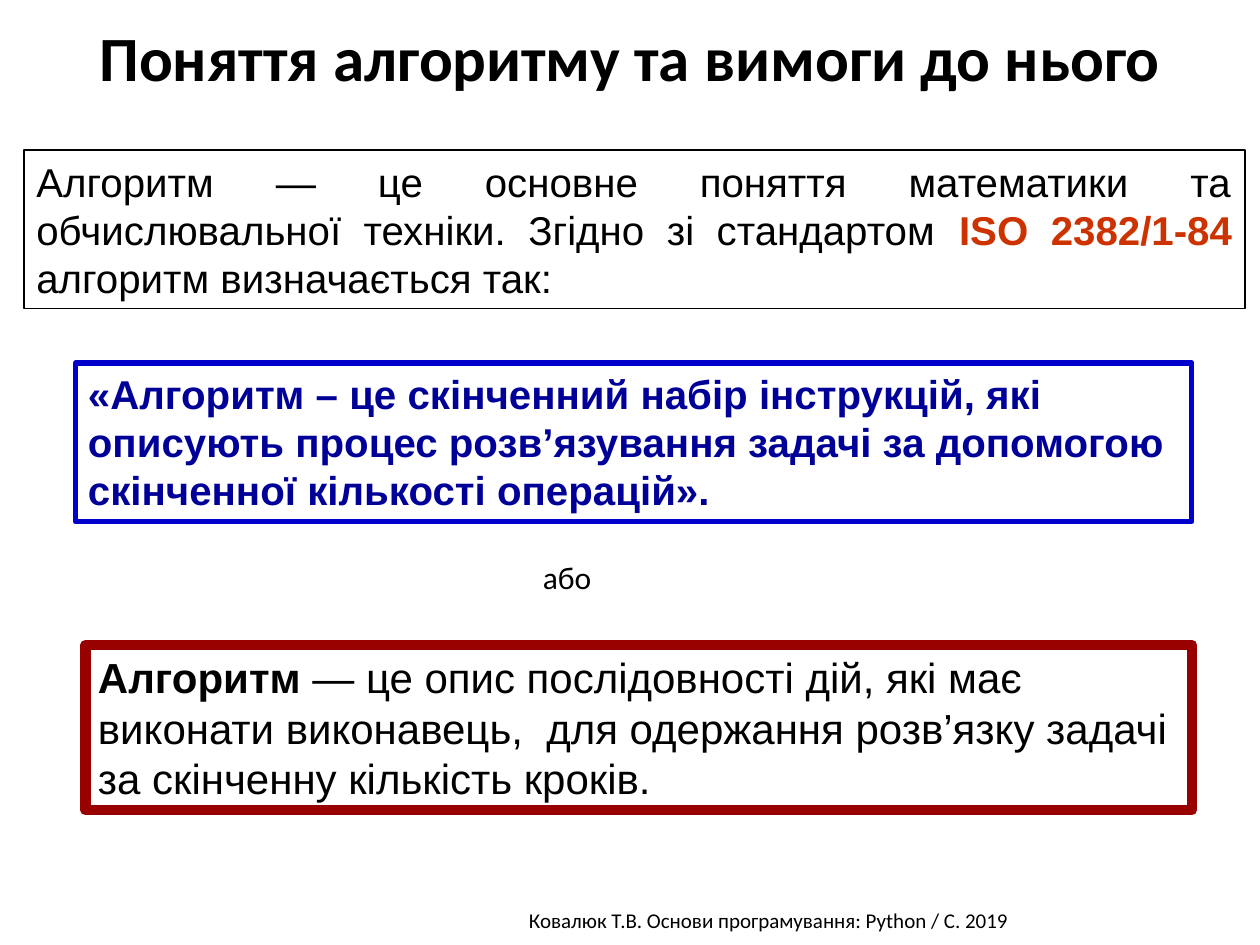
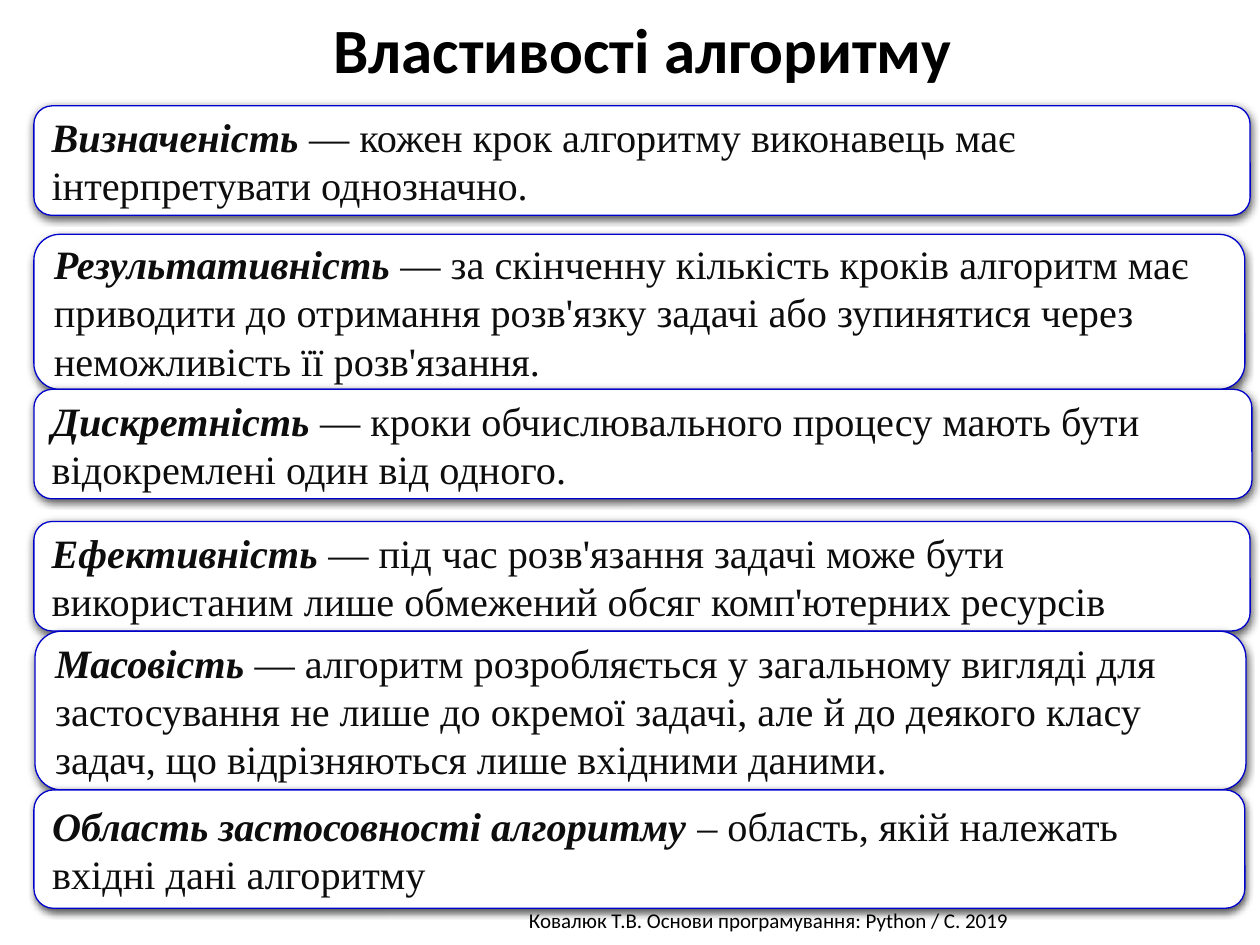
from lxml import etree
from pptx import Presentation
from pptx.dml.color import RGBColor
from pptx.enum.shapes import MSO_SHAPE
from pptx.enum.text import MSO_ANCHOR, MSO_AUTO_SIZE, PP_ALIGN
from pptx.oxml.ns import qn
from pptx.util import Pt

RECTANGLE = MSO_SHAPE.RECTANGLE
ROUNDED = MSO_SHAPE.ROUNDED_RECTANGLE
TOP, MIDDLE = MSO_ANCHOR.TOP, MSO_ANCHOR.MIDDLE
LEFT, CENTER, JUSTIFY = PP_ALIGN.LEFT, PP_ALIGN.CENTER, PP_ALIGN.JUSTIFY
NO_AUTOFIT = MSO_AUTO_SIZE.NONE
TITLE_ONLY = 5

COLORS = {
    "white": "FFFFFF",
    "black": "000000",
    "card text": "0D0D0D",
    "standard": "CC3300",
    "quote": "000099",
    "blue line": "0000CC",
    "red line": "990000",
}
FOOTER = "Ковалюк Т.В. Основи програмування: Python / C. 2019 "
BOLD = {"bold": True}
TERM = {"bold": True, "italic": True}

PROPERTIES = [
    (19.4, 60.5, 695, 62.6, "Визначеність",
     " — кожен крок алгоритму виконавець має інтерпретувати однозначно."),
    (19.4, 133.9, 692, 88.6, "Результативність",
     " — за скінченну кількість кроків алгоритм має приводити до отримання "
     "розв'язку задачі або зупинятися через неможливість її розв'язання."),
    (19.4, 222.5, 696, 62.6, "Дискретність",
     " — кроки обчислювального процесу мають бути відокремлені один від одного."),
    (19.4, 298, 695, 62.6, "Ефективність",
     " — під час розв'язання задачі може бути використаним лише обмежений обсяг "
     "комп'ютерних ресурсів"),
    (20, 360.7, 692, 90.7, "Масовість",
     " — алгоритм розробляється у загальному вигляді для застосування не лише до "
     "окремої задачі, але й до деякого класу задач, що відрізняються лише вхідними даними."),
    (19.4, 451.4, 692, 67.7, "Область застосовності алгоритму ",
     "– область, якій належать вхідні дані алгоритму"),
]


def color(name):
    return RGBColor.from_string(COLORS[name])


def write_text(shape, runs, font="Arial", size=23, text_color="black", align=LEFT,
               anchor=MIDDLE, wrap=True, line_spacing=None, space_before=None):
    frame = shape.text_frame
    frame.auto_size = NO_AUTOFIT
    frame.word_wrap = wrap
    frame.vertical_anchor = anchor
    paragraph = frame.paragraphs[0]
    paragraph.alignment = align
    paragraph.line_spacing = line_spacing
    paragraph.space_before = space_before
    for text, style in runs:
        run = paragraph.add_run()
        run.text = text
        run.font.name = font
        run.font.size = Pt(size)
        run.font.bold = style.get("bold", False)
        run.font.italic = style.get("italic", False)
        run.font.color.rgb = color(style.get("color", text_color))


def place(left, top, width, height):
    return Pt(left), Pt(top), Pt(width), Pt(height)


def add_label(slide, box, text, **text_format):
    label = slide.shapes.add_textbox(*place(*box))
    write_text(label, [(text, {})], font="Calibri", anchor=TOP, **text_format)


def add_titled_slide(presentation, title_text, title_box):
    slide = presentation.slides.add_slide(presentation.slide_layouts[TITLE_ONLY])
    title = slide.shapes.title
    title.left, title.top, title.width, title.height = place(*title_box)
    write_text(title, [(title_text, BOLD)], font="Calibri", size=36,
               align=CENTER, line_spacing=0.9)
    add_label(slide, (161.3, 514.8, 558.7, 21.6), FOOTER, size=12, align=CENTER)
    return slide


def add_box(slide, box, runs, line, line_width, kind=RECTANGLE, **text_format):
    shape = slide.shapes.add_shape(kind, *place(*box))
    shape.shadow.inherit = False
    shape.fill.background()
    shape.line.color.rgb = color(line)
    shape.line.width = Pt(line_width)
    write_text(shape, runs, **text_format)
    return shape


def add_shadow(shape):
    effects = shape._element.spPr.find(qn("a:effectLst"))
    shadow = etree.SubElement(effects, qn("a:outerShdw"), blurRad=str(Pt(4.5)),
                              dist=str(Pt(1.5)), dir="5400000", rotWithShape="0")
    shade = etree.SubElement(shadow, qn("a:srgbClr"), val=COLORS["black"])
    etree.SubElement(shade, qn("a:alpha"), val="63000")


def add_card(slide, box, term, definition):
    card = add_box(slide, box, [(term, TERM), (definition, {})], "blue line", 0.75,
                   kind=ROUNDED, font="Times New Roman", text_color="card text")
    card.fill.solid()
    card.fill.fore_color.rgb = color("white")
    add_shadow(card)


def build_definition_slide(presentation):
    slide = add_titled_slide(presentation, "Поняття алгоритму та вимоги до нього",
                             (0, 15, 720, 39.6))
    add_box(slide, (48.9, 368.6, 632.2, 94.3), [
        ("Алгоpитм", BOLD),
        (" — це опис послідовності дій, які має виконати виконавець,  для одержання "
         "розв’язку задачі за скінченну кількість кроків.", {}),
    ], "red line", 6, size=24)
    add_box(slide, (13.7, 85.7, 697.7, 90.7), [
        ("Алгоритм — це основне поняття математики та обчислювальної техніки. "
         "Згідно зі стандартом ", {}),
        ("ISO 2382/1-84 ", {"bold": True, "color": "standard"}),
        ("алгоритм визначається так: ", {}),
    ], "black", 0.75, align=JUSTIFY, space_before=Pt(4.6))
    add_box(slide, (43.2, 207.4, 637.9, 90.7), [
        ("«Алгоритм – це скінченний набір інструкцій, які описують процес розв’язування "
         "задачі за допомогою скінченної кількості операцій».", BOLD),
    ], "blue line", 3, text_color="quote", anchor=TOP)
    add_label(slide, (303.1, 315.4, 42.5, 28.8), "або", size=18, wrap=False)


def build_properties_slide(presentation):
    slide = add_titled_slide(presentation, "Властивості алгоритму",
                             (14.4, 0, 705.6, 60.5))
    for *box, term, definition in PROPERTIES:
        add_card(slide, box, term, definition)


def main():
    presentation = Presentation()
    presentation.slide_width = Pt(720)
    presentation.slide_height = Pt(540)
    build_definition_slide(presentation)
    build_properties_slide(presentation)
    presentation.save("out.pptx")


if __name__ == "__main__":
    main()
